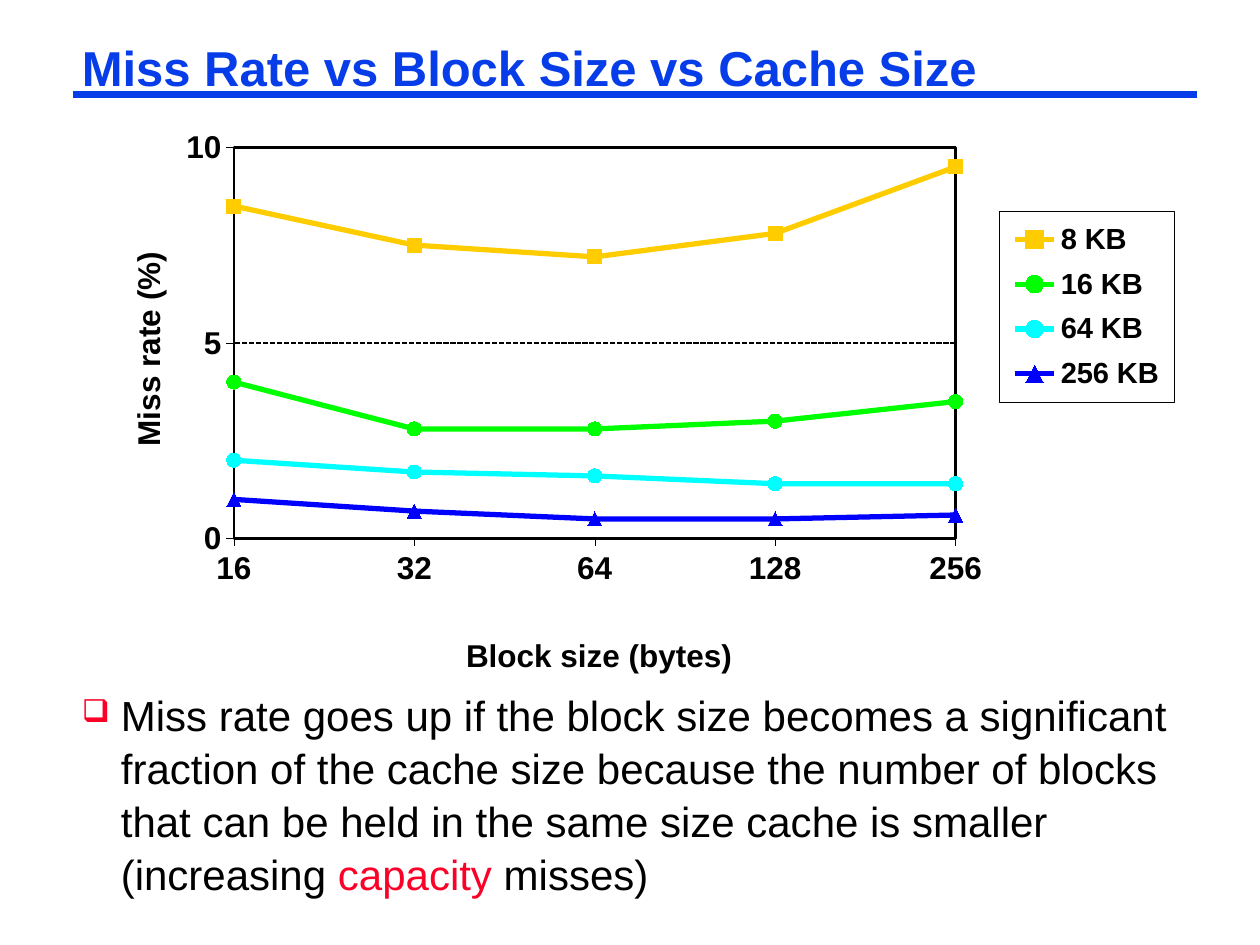
from dataclasses import dataclass
from typing import Any

from lxml import etree
from pptx import Presentation
from pptx import util as u
from pptx.chart.data import CategoryChartData
from pptx.dml.color import RGBColor
from pptx.enum import chart as charts, dml, shapes, text
from pptx.oxml import parse_xml
from pptx.oxml.ns import nsdecls, qn

BLUE = RGBColor(0x06, 0x3D, 0xE8)
RED = RGBColor(0xFC, 0x01, 0x28)
BLACK = RGBColor(0, 0, 0)
YELLOW = RGBColor(0xFF, 0xCC, 0)
GREEN = RGBColor(0, 0xFF, 0)
CYAN = RGBColor(0, 0xFF, 0xFF)
NAVY = RGBColor(0, 0, 0xFF)

MARKER = charts.XL_MARKER_STYLE
BLOCK_SIZES = ["16", "32", "64", "128", "256"]
CACHES = [
    ("8 KB", [8.5, 7.5, 7.2, 7.8, 9.5], YELLOW, MARKER.SQUARE),
    ("16 KB", [4, 2.8, 2.8, 3, 3.5], GREEN, MARKER.CIRCLE),
    ("64 KB", [2, 1.7, 1.6, 1.4, 1.4], CYAN, MARKER.CIRCLE),
    ("256 KB", [1, 0.7, 0.5, 0.5, 0.6], NAVY, MARKER.TRIANGLE),
]


def set_layout(element, index, inner=False, **shares):
    for old in element.findall(qn("c:layout")):
        element.remove(old)
    layout = parse_xml(f"<c:layout {nsdecls('c')}><c:manualLayout/></c:layout>")
    manual = layout[0]
    if inner:
        etree.SubElement(manual, qn("c:layoutTarget")).set("val", "inner")
    for side in "xy":
        etree.SubElement(manual, qn(f"c:{side}Mode")).set("val", "edge")
    for side, share in shares.items():
        etree.SubElement(manual, qn(f"c:{side}")).set("val", str(share))
    element.insert(index, layout)


def border(points):
    return parse_xml(
        f'<c:spPr {nsdecls("c", "a")}><a:noFill/><a:ln w="{u.Pt(points)}">'
        f'<a:solidFill><a:srgbClr val="{BLACK}"/></a:solidFill></a:ln></c:spPr>'
    )


@dataclass
class SlideBuilder:
    deck: Any
    page: Any
    font: str = "Arial"

    def place(self, left, top, width, height):
        across, down = self.deck.slide_width, self.deck.slide_height
        return [round(share * size) for share, size in
                zip((left, top, width, height), (across, down) * 2)]

    def style(self, font, size, color=BLACK, bold=False):
        font.name, font.size, font.bold = self.font, u.Pt(size), bold
        font.color.rgb = color

    def rule(self, left, right, level, color, points):
        x1, y1, x2, y2 = self.place(left, level, right, level)
        line = self.page.shapes.add_connector(
            shapes.MSO_CONNECTOR.STRAIGHT, x1, y1, x2, y2)
        line.line.color.rgb = color
        line.line.width = u.Pt(points)
        etree.SubElement(line._element.spPr, qn("a:effectLst"))

    def text(self, area, spans, size, color=BLACK, bold=False, spacing=1.0, bullet=None):
        box = self.page.shapes.add_textbox(*self.place(*area))
        frame = box.text_frame
        frame.word_wrap = True
        frame.auto_size = text.MSO_AUTO_SIZE.SHAPE_TO_FIT_TEXT
        frame.margin_left = frame.margin_right = u.Inches(0.07)
        frame.margin_top = frame.margin_bottom = u.Inches(0.03)
        para = frame.paragraphs[0]
        para.line_spacing = spacing
        if bullet:
            self.bullet(para, bullet)
        self.style(para.font, size, color, bold)
        for words, accent in spans:
            span = para.add_run()
            span.text = words
            if accent:
                span.font.color.rgb = accent

    def bullet(self, para, color):
        props = para._p.get_or_add_pPr()
        indent = u.Inches(0.31)
        props.set("marL", str(indent))
        props.set("indent", str(-indent))
        tint = etree.SubElement(props, qn("a:buClr"))
        etree.SubElement(tint, qn("a:srgbClr")).set("val", str(color))
        etree.SubElement(props, qn("a:buSzPct")).set("val", "75000")
        etree.SubElement(props, qn("a:buChar")).set("char", "❑")

    def axis(self, axis, title, turn, **shares):
        axis.has_title = True
        frame = axis.axis_title.text_frame
        frame.text = title
        self.style(frame.paragraphs[0].font, 18, bold=True)
        heading = axis.axis_title._element
        heading.find(".//" + qn("a:bodyPr")).set("rot", str(turn * 60000))
        set_layout(heading, 1, **shares)
        self.style(axis.tick_labels.font, 18, bold=True)
        axis.major_tick_mark = charts.XL_TICK_MARK.OUTSIDE
        axis.minor_tick_mark = charts.XL_TICK_MARK.NONE
        axis.format.line.color.rgb = BLACK
        axis.format.line.width = u.Pt(0.25)

    def line_chart(self, area, categories, rows, category_title, value_title):
        data = CategoryChartData()
        data.categories = categories
        for name, values, _, _ in rows:
            data.add_series(name, values)
        chart = self.page.shapes.add_chart(
            charts.XL_CHART_TYPE.LINE_MARKERS, *self.place(*area), data).chart
        chart.has_title = False
        self.style(chart.font, 18, bold=True)
        chart.plots[0].vary_by_categories = False
        for series, (_, _, color, marker) in zip(chart.plots[0].series, rows):
            series.smooth = False
            series.format.line.color.rgb = color
            series.format.line.width = u.Pt(3)
            series.marker.style, series.marker.size = marker, 8
            series.marker.format.fill.solid()
            series.marker.format.fill.fore_color.rgb = color
            series.marker.format.line.color.rgb = color

        self.axis(chart.category_axis, category_title, 0, x=0.336, y=0.895)
        values = chart.value_axis
        self.axis(values, value_title, -90, x=0.025, y=0.24)
        values.minimum_scale, values.maximum_scale, values.major_unit = 0, 10, 5
        values.tick_labels.number_format = "0"
        values.tick_labels.number_format_is_linked = False
        values.has_major_gridlines = True
        grid = values.major_gridlines.format.line
        grid.color.rgb = BLACK
        grid.width = u.Pt(1)
        grid.dash_style = dml.MSO_LINE.SQUARE_DOT
        crossing = parse_xml(f'<c:crossBetween {nsdecls("c")} val="midCat"/>')
        values._element.find(qn("c:majorUnit")).addprevious(crossing)

        plot = chart._chartSpace.chart.plotArea
        set_layout(plot, 0, inner=True, x=0.128, y=0.071, w=0.663, h=0.669)
        plot.append(border(1.5))
        self.legend(chart)

    def legend(self, chart):
        chart.has_legend = True
        legend = chart.legend
        legend.position = charts.XL_LEGEND_POSITION.RIGHT
        legend.include_in_layout = False
        self.style(legend.font, 16.6, bold=True)
        element = legend._element
        set_layout(element, 1, x=0.831, y=0.18, w=0.161, h=0.327)
        element.find(qn("c:txPr")).addprevious(border(0.25))


def main():
    deck = Presentation()
    deck.slide_width, deck.slide_height = u.Inches(10), u.Inches(7.5)
    slide = SlideBuilder(deck, deck.slides.add_slide(deck.slide_layouts[6]))
    slide.rule(0.058, 0.95, 0.1, BLUE, 4.5)
    slide.text((0.058, 0.044, 0.892, 0.061),
               [("Miss Rate vs Block Size vs Cache Size", None)],
               28, BLUE, bold=True, spacing=0.87)
    slide.line_chart((0.075, 0.112, 0.864, 0.619), BLOCK_SIZES, CACHES,
                     "Block size (bytes)", "Miss rate (%)")
    slide.text((0.058, 0.723, 0.917, 0.22), [
        ("Miss rate goes up if the block size becomes a significant fraction of "
         "the cache size because the number of blocks that can be held in the "
         "same size cache is smaller (increasing ", None),
        ("capacity", RED),
        (" misses)", None),
    ], 24, spacing=1.05, bullet=RED)
    deck.save("out.pptx")


if __name__ == "__main__":
    main()
